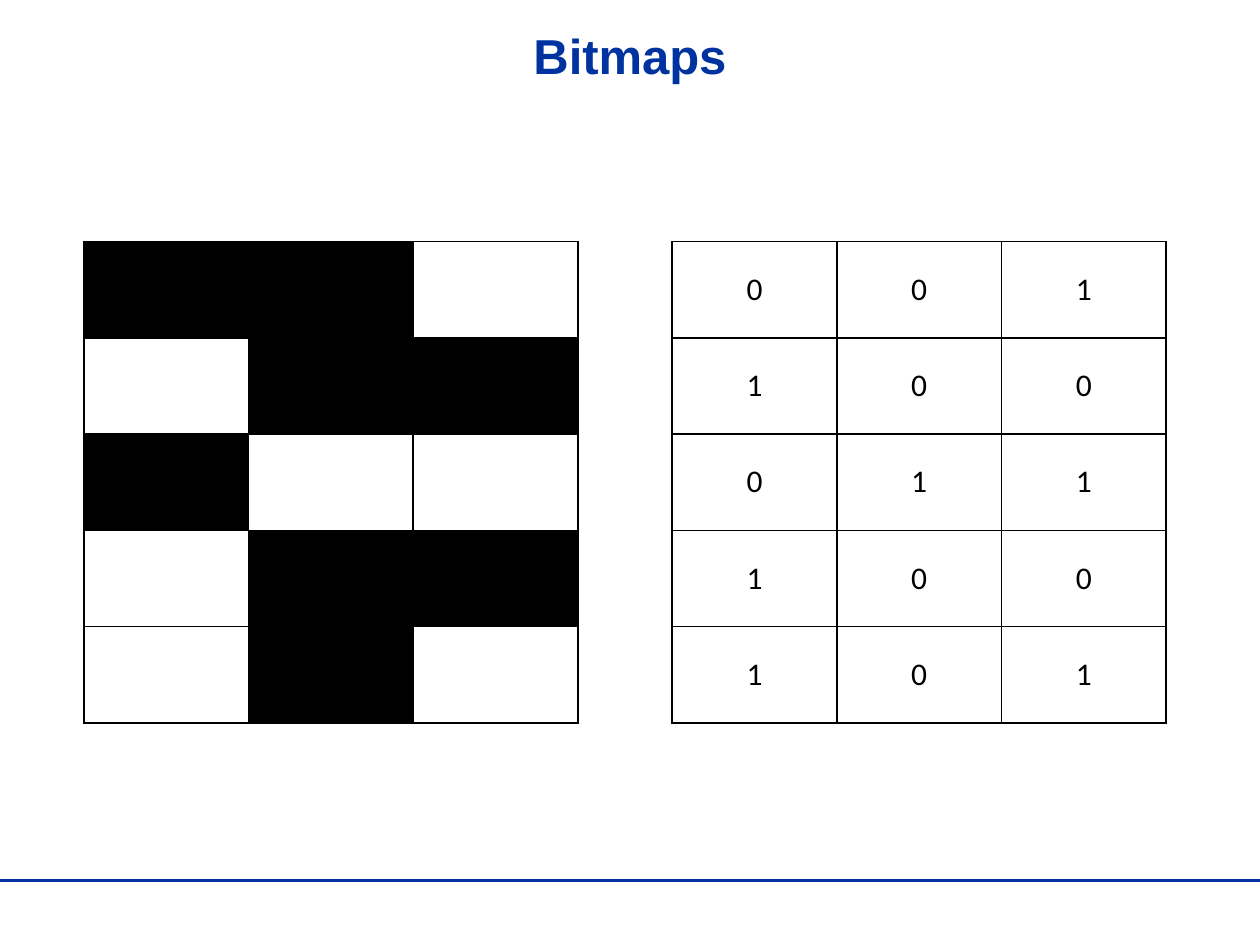
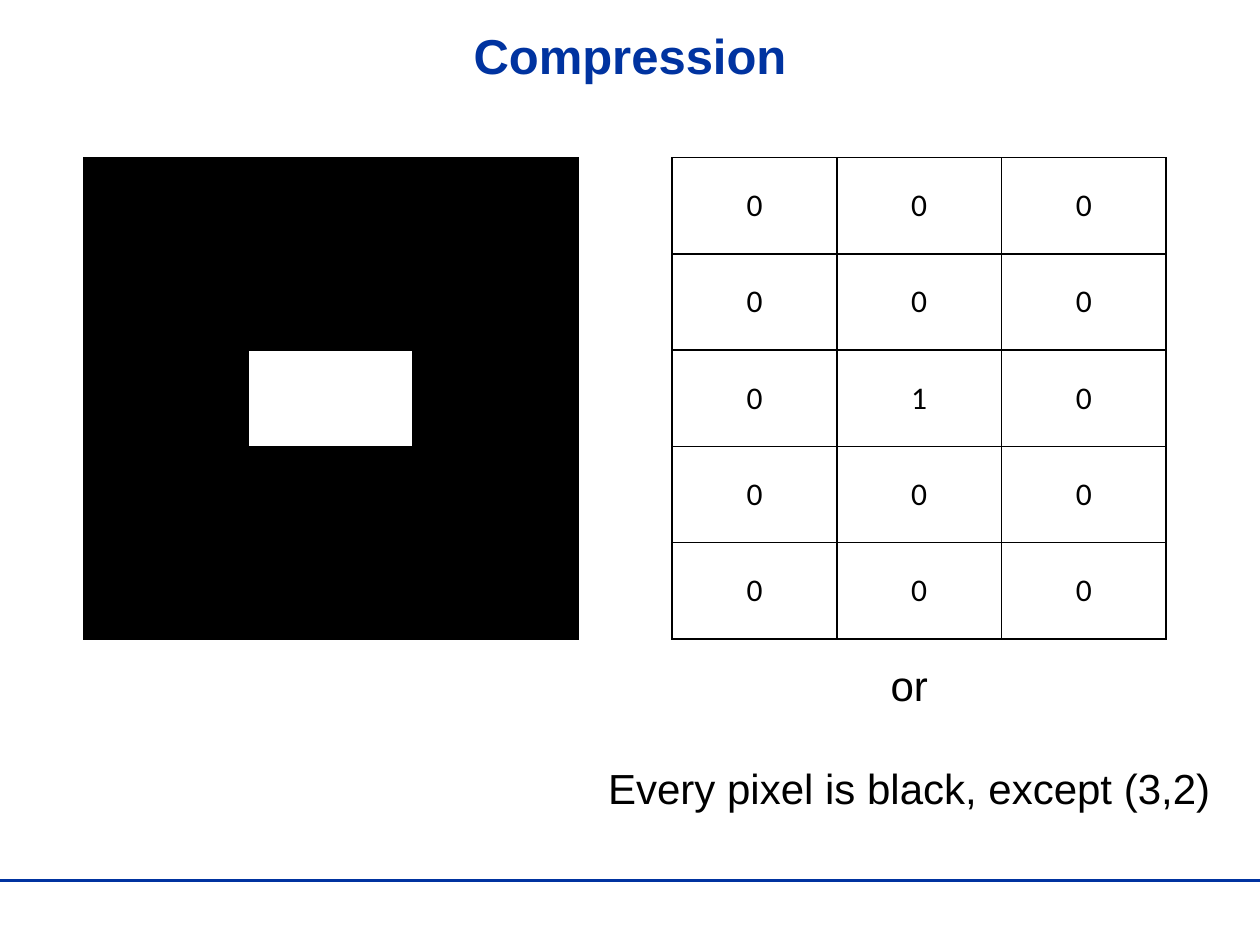
import pptx
import pptx.util
import pptx.dml.color
import pptx.enum.shapes
import pptx.enum.text
import pptx.oxml
import pptx.oxml.ns
import lxml.etree

Cm, Pt = pptx.util.Cm, pptx.util.Pt
RGB = pptx.dml.color.RGBColor.from_string
MIDDLE = pptx.enum.text.MSO_ANCHOR.MIDDLE
COLORS = {"blue": "0033A0", "black": "000000", "white": "FFFFFF"}

# Grid measures shared by both slides
CELL_WIDTH, CELL_HEIGHT = 3.32, 1.94
PIXELS_LEFT, BITS_LEFT = 1.69, 13.55

# Each bitmap is a list of rows: 0 is black, 1 is white
SLIDES = [
    {"title": "Bitmaps", "top": 4.87,
     "bitmap": ["001", "100", "011", "100", "101"]},
    {"title": "Compression", "top": 3.18,
     "bitmap": ["000", "000", "010", "000", "000"],
     "note": "or\nEvery pixel is black, except (3,2)"},
]


def write(frame, text, size=18, font="Arial", color="black", bold=False, gap=0):
    """Fill a text frame with centred paragraphs, gap points apart."""
    for index, line in enumerate(text.split("\n")):
        paragraph = frame.add_paragraph() if index else frame.paragraphs[0]
        paragraph.alignment = pptx.enum.text.PP_ALIGN.CENTER
        paragraph.space_before = Pt(gap if index else 0)
        run = paragraph.add_run()
        run.text = line
        run.font.size = Pt(size)
        run.font.name = font
        run.font.bold = bold
        run.font.color.rgb = RGB(COLORS[color])


def add_bitmap(slide, left, top, bitmap, show_bits):
    """Draw a bitmap as a table of bits or of black and white pixels."""
    row_count, column_count = len(bitmap), len(bitmap[0])
    grid = slide.shapes.add_table(
        row_count, column_count, Cm(left), Cm(top),
        Cm(CELL_WIDTH * column_count), Cm(CELL_HEIGHT * row_count)).table
    grid.first_row = grid.horz_banding = False
    for column in grid.columns:
        column.width = Cm(CELL_WIDTH)
    for row in grid.rows:
        row.height = Cm(CELL_HEIGHT)
    for r, bits in enumerate(bitmap):
        for c, bit in enumerate(bits):
            cell = grid.cell(r, c)
            cell.vertical_anchor = MIDDLE
            cell.fill.solid()
            is_black = bit == "0" and not show_bits
            cell.fill.fore_color.rgb = RGB(COLORS["black" if is_black else "white"])
            if show_bits:
                write(cell.text_frame, bit, font="Calibri")
            # Borders come before the fill in the cell properties
            properties = cell._tc.get_or_add_tcPr()
            for index, side in enumerate(("lnL", "lnR", "lnT", "lnB")):
                properties.insert(index, pptx.oxml.parse_xml(
                    f'<a:{side} {pptx.oxml.ns.nsdecls("a")} w="12700"><a:solidFill>'
                    f'<a:srgbClr val="{COLORS["black"]}"/></a:solidFill></a:{side}>'))


deck = pptx.Presentation()
deck.slide_width, deck.slide_height = Cm(25.4), Cm(19.05)

for content in SLIDES:
    slide = deck.slides.add_slide(deck.slide_layouts[6])

    # Footer rule
    footer_rule = slide.shapes.add_connector(
        pptx.enum.shapes.MSO_CONNECTOR.STRAIGHT,
        0, Cm(17.75), deck.slide_width, Cm(17.75))
    footer_rule.line.color.rgb = RGB(COLORS["blue"])
    footer_rule.line.width = Pt(1.25)
    lxml.etree.SubElement(footer_rule._element.spPr, pptx.oxml.ns.qn("a:effectLst"))

    # Title
    title = slide.shapes.add_textbox(Cm(0.2), Cm(0.43), Cm(25), Cm(1.35)).text_frame
    title.word_wrap = True
    title.vertical_anchor = MIDDLE
    write(title, content["title"], size=28, color="blue", bold=True)

    # Pixels on the left, their bits on the right
    add_bitmap(slide, PIXELS_LEFT, content["top"], content["bitmap"], show_bits=False)
    add_bitmap(slide, BITS_LEFT, content["top"], content["bitmap"], show_bits=True)

    # Shorter description of the same bitmap
    if "note" in content:
        note = slide.shapes.add_textbox(
            Cm(11.94), Cm(13.18), Cm(12.78), Cm(3.25)).text_frame
        note.word_wrap = False
        write(note, content["note"], size=24, gap=30)

deck.save("out.pptx")
